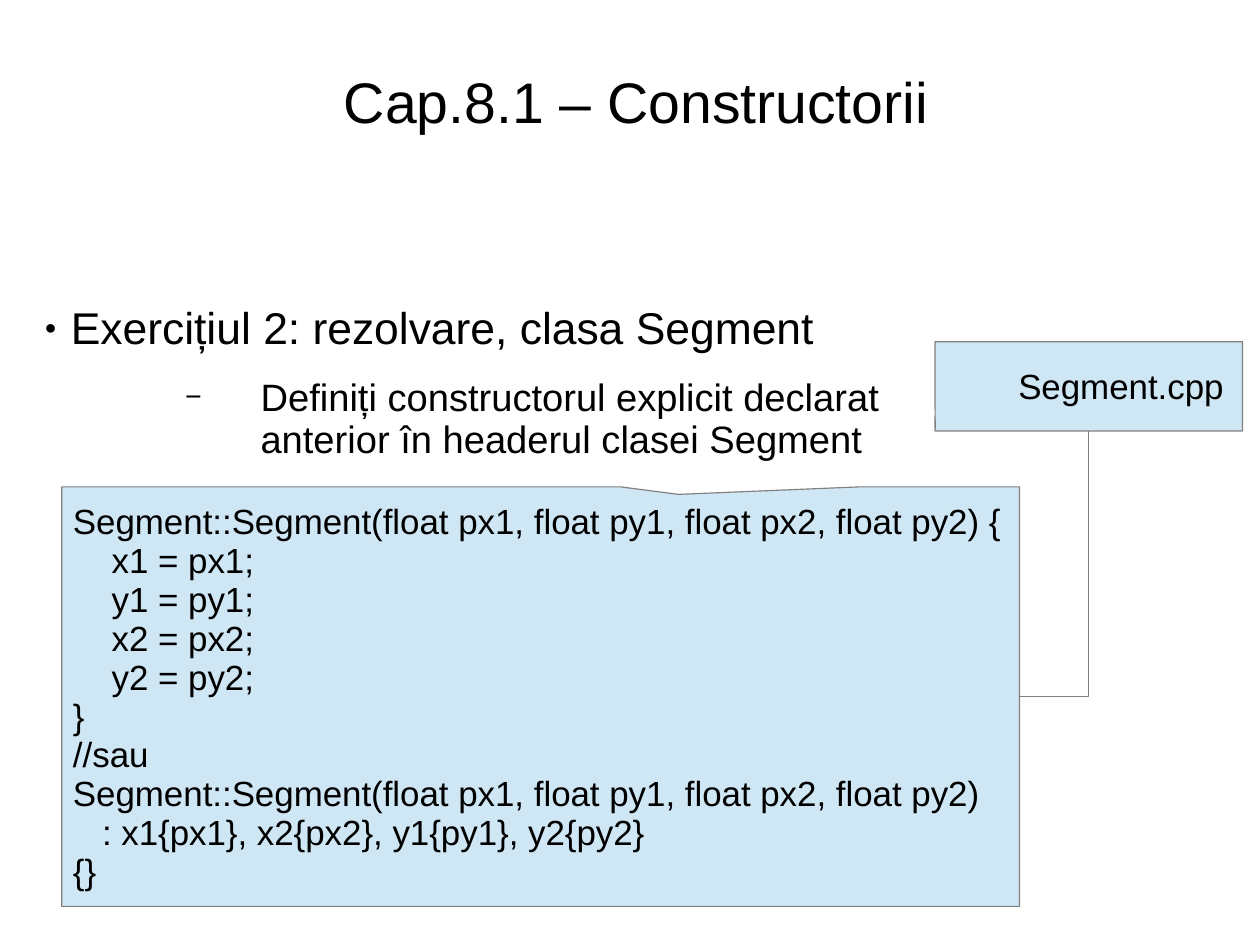
from lxml import etree
from pptx import Presentation
from pptx.dml.color import RGBColor
from pptx.enum.shapes import MSO_CONNECTOR as Connector, MSO_SHAPE as Shape
from pptx.enum.text import MSO_ANCHOR as Anchor, PP_ALIGN as Align
from pptx.oxml.ns import qn
from pptx.util import Inches, Pt

COLORS = {"text": "000000", "box": "CFE7F5", "line": "808080"}
FONT = "Arial"
LINE_SPACING = 0.93
CM_PER_INCH = 2.54
SLIDE_SIZE = (28 / CM_PER_INCH, 21 / CM_PER_INCH)

TITLE = "Cap.8.1 – Constructorii"
# text, size, left margin, first-line indent, space after, bullet, bullet size %
BULLETS = [
    ("Exercițiul 2: rezolvare, clasa Segment", 28, 0.23, -0.23, 14.1, "●", 45),
    ("Definiți constructorul explicit declarat anterior în headerul clasei Segment",
     24, 1.89, -0.66, 11.4, "−", 75),
]
CODE = """Segment::Segment(float px1, float py1, float px2, float py2) {
    x1 = px1;
    y1 = py1;
    x2 = px2;
    y2 = py2;
}
//sau
Segment::Segment(float px1, float py1, float px2, float py2)
   : x1{px1}, x2{px2}, y1{py1}, y2{py2}
{}"""
FILE_NAME = "Segment.cpp"

# left, top, width, height
TITLE_AREA = (0.36, 0.28, 10.41, 1.24)
BODY_AREA = (0.39, 2.64, 7.63, 1.46)
CODE_AREA = (0.54, 4.26, 8.38, 3.67)
FILE_AREA = (8.18, 2.99, 2.69, 0.78)
PLAIN_INSETS = (0, 0.03, 0, 0)
BOX_INSETS = (0.1, 0.07, 0.1, 0.05)


def rgb(name):
    return RGBColor.from_string(COLORS[name])


def set_frame(frame, insets, anchor, wrap):
    frame.margin_left, frame.margin_top, frame.margin_right, frame.margin_bottom = map(Inches, insets)
    frame.vertical_anchor = anchor
    frame.word_wrap = wrap


def format_paragraph(paragraph, size, align=Align.LEFT):
    paragraph.alignment = align
    paragraph.line_spacing = LINE_SPACING
    for run in paragraph.runs:
        run.font.name = FONT
        run.font.size = Pt(size)
        run.font.color.rgb = rgb("text")


def set_indent(paragraph, margin, indent):
    properties = paragraph._p.get_or_add_pPr()
    properties.set("marL", str(Inches(margin)))
    properties.set("indent", str(Inches(indent)))
    return properties


def add_text_area(slide, area, anchor):
    frame = slide.shapes.add_textbox(*map(Inches, area)).text_frame
    set_frame(frame, PLAIN_INSETS, anchor, True)
    return frame


def add_callout(slide, area, pointer, text):
    callout = slide.shapes.add_shape(Shape.RECTANGULAR_CALLOUT, *map(Inches, area))
    callout.adjustments[0], callout.adjustments[1] = pointer
    callout.shadow.inherit = False
    callout.fill.solid()
    callout.fill.fore_color.rgb = rgb("box")
    callout.line.color.rgb = rgb("line")
    callout.line.width = Pt(0.75)
    frame = callout.text_frame
    set_frame(frame, BOX_INSETS, Anchor.MIDDLE, False)
    frame.text = text
    for paragraph in frame.paragraphs:
        format_paragraph(paragraph, 22)
    return frame


def add_corner_line(slide, start, end):
    """Run down from start, then left to end: a two-part elbow turned by 90 degrees."""
    center_x, center_y = (start[0] + end[0]) / 2, (start[1] + end[1]) / 2
    half_length, half_depth = (end[1] - start[1]) / 2, (start[0] - end[0]) / 2
    corners = (center_x - half_length, center_y - half_depth,
               center_x + half_length, center_y + half_depth)
    connector = slide.shapes.add_connector(Connector.ELBOW, *map(Inches, corners))
    connector.line.color.rgb = rgb("line")
    connector.line.width = Pt(0.75)
    properties = connector._element.spPr
    properties.find(qn("a:xfrm")).set("rot", str(90 * 60000))
    properties.find(qn("a:prstGeom")).set("prst", "bentConnector2")
    etree.SubElement(properties, qn("a:effectLst"))


def main():
    presentation = Presentation()
    presentation.slide_width, presentation.slide_height = map(Inches, SLIDE_SIZE)
    slide = presentation.slides.add_slide(presentation.slide_layouts[6])

    title = add_text_area(slide, TITLE_AREA, Anchor.MIDDLE)
    title.text = TITLE
    format_paragraph(title.paragraphs[0], 36, Align.CENTER)

    body = add_text_area(slide, BODY_AREA, Anchor.TOP)
    body.text = "\n".join(bullet[0] for bullet in BULLETS)
    for paragraph, bullet in zip(body.paragraphs, BULLETS):
        _, size, margin, indent, space_after, symbol, percent = bullet
        properties = set_indent(paragraph, margin, indent)
        etree.SubElement(properties, qn("a:buSzPct")).set("val", str(percent * 1000))
        etree.SubElement(properties, qn("a:buFont")).set("typeface", FONT)
        etree.SubElement(properties, qn("a:buChar")).set("char", symbol)
        format_paragraph(paragraph, size)
        paragraph.space_after = Pt(space_after)
    body.paragraphs[1].level = 1

    add_callout(slide, CODE_AREA, (0.144, -0.482), CODE)
    file_label = add_callout(slide, FILE_AREA, (-0.499, 0.471), FILE_NAME).paragraphs[0]
    set_indent(file_label, 0.94, -0.31)
    file_label.space_after = Pt(11.4)

    file_left, file_top, file_width, file_height = FILE_AREA
    code_left, code_top, code_width, code_height = CODE_AREA
    add_corner_line(slide,
                    (file_left + file_width / 2, file_top + file_height),
                    (code_left + code_width, code_top + code_height / 2))

    presentation.save("out.pptx")


if __name__ == "__main__":
    main()
